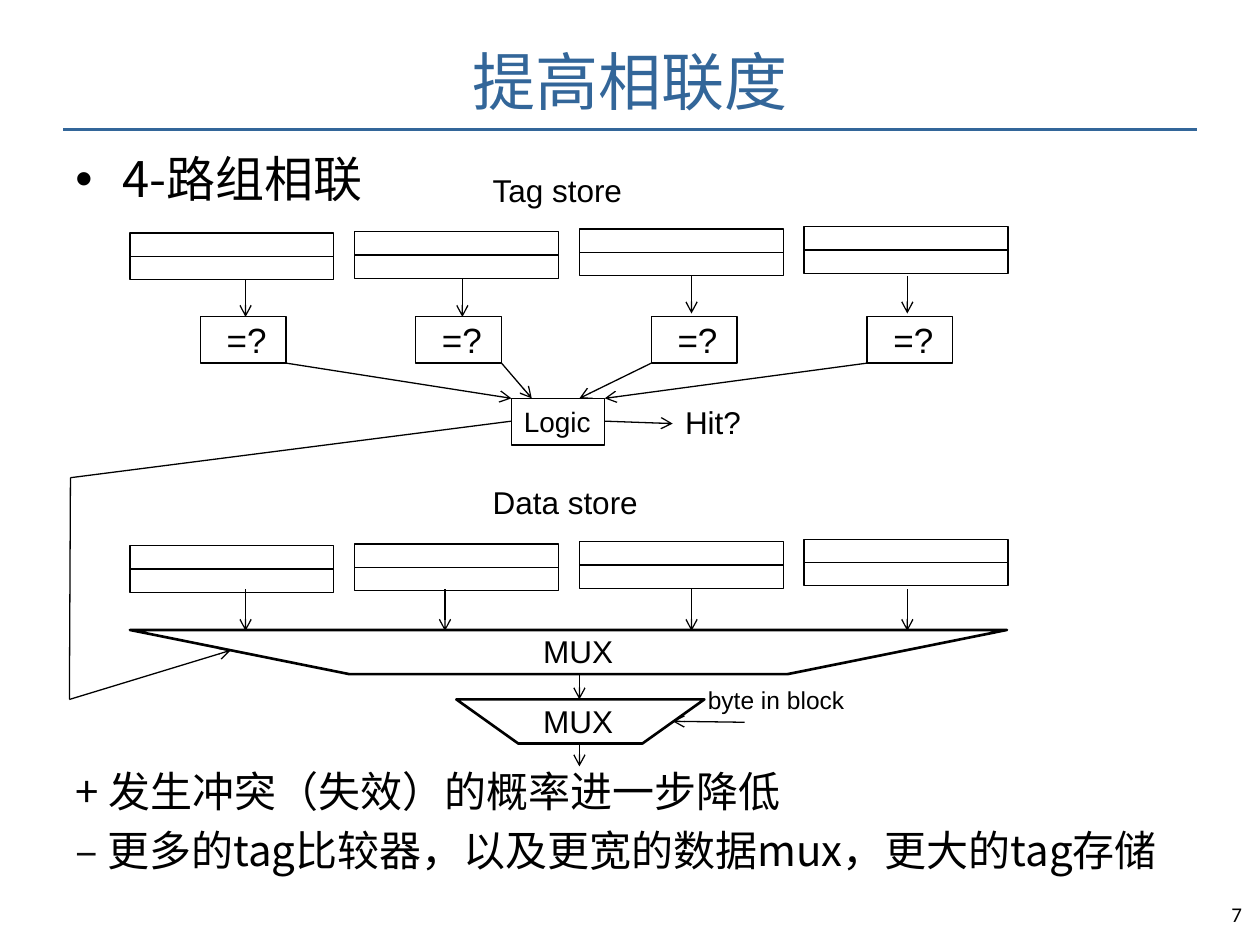
from lxml import etree
from pptx import Presentation
from pptx import util as u
from pptx.dml.color import RGBColor
from pptx.enum import shapes, text
from pptx.oxml.ns import qn

COLORS = {"title": "336699", "ink": "000000", "dash": "0D0D0D"}
CJK = "Noto Sans CJK SC"
LANE_X = [4.95, 9.32, 13.94, 18.29]  # centre of each way's arrow


def rgb(name):
    return RGBColor.from_string(COLORS[name])


def add_run(p, words, size, font="Arial", color="ink"):
    r = p.add_run()
    r.text = words
    r.font.size, r.font.name = u.Pt(size), font
    r.font.color.rgb = rgb(color)
    if font == CJK:
        etree.SubElement(r.font._element, qn("a:ea")).set("typeface", font)


def add_box(s, x, y, w, h, wrap=False):
    tf = s.shapes.add_textbox(u.Cm(x), u.Cm(y), u.Cm(w), u.Cm(h)).text_frame
    tf.word_wrap = wrap
    return tf


def add_label(s, x, y, w, h, words, size=18):
    add_run(add_box(s, x, y, w, h).paragraphs[0], words, size)


def style(sp, width):
    sp.shadow.inherit = False
    sp.fill.background()
    sp.line.color.rgb = rgb("ink")
    sp.line.width = u.Pt(width)


def add_rect(s, x, y, w, h, words="", size=16, pad=0.25):
    sp = s.shapes.add_shape(shapes.MSO_SHAPE.RECTANGLE, u.Cm(x), u.Cm(y), u.Cm(w), u.Cm(h))
    style(sp, 0.75)
    if words:
        tf = sp.text_frame
        tf.word_wrap = False
        tf.margin_left, tf.margin_right = u.Cm(pad), 0
        tf.vertical_anchor = text.MSO_ANCHOR.MIDDLE
        p = tf.paragraphs[0]
        p.alignment = text.PP_ALIGN.LEFT
        add_run(p, words, size)


def add_line(s, x1, y1, x2, y2, arrow=True, color="ink", width=0.75):
    c = s.shapes.add_connector(shapes.MSO_CONNECTOR.STRAIGHT,
                               u.Cm(x1), u.Cm(y1), u.Cm(x2), u.Cm(y2))
    c.line.color.rgb = rgb(color)
    c.line.width = u.Pt(width)
    if arrow:
        etree.SubElement(c.line._get_or_add_ln(), qn("a:tailEnd")).set("type", "arrow")
    etree.SubElement(c._element.spPr, qn("a:effectLst"))


def add_title(s, x, y, w, h):
    tf = add_box(s, x, y, w, h, wrap=True)
    tf.vertical_anchor = text.MSO_ANCHOR.MIDDLE
    p = tf.paragraphs[0]
    p.alignment = text.PP_ALIGN.CENTER
    add_run(p, "提高相联度", 36, CJK, "title")
    add_line(s, x, y + 2.28, x + w, y + 2.28, False, "title", 2)


def add_body(s, x, y, w, h, paragraphs, size, leading, bullet=None):
    tf = add_box(s, x, y, w, h, wrap=True)
    for i, runs in enumerate(paragraphs):
        p = tf.paragraphs[0] if i == 0 else tf.add_paragraph()
        p.line_spacing = u.Pt(leading)
        if i:
            p.space_before = u.Pt(size * 0.2)
        pPr = p._p.get_or_add_pPr()
        pPr.set("marL", str(u.Cm(0.95)))
        pPr.set("indent", str(u.Cm(-0.95)))
        if bullet:
            etree.SubElement(pPr, qn("a:buFont")).set("typeface", "Arial")
            etree.SubElement(pPr, qn("a:buChar")).set("char", bullet)
        else:
            etree.SubElement(pPr, qn("a:buNone"))
        for words, color in runs:
            add_run(p, words, size, CJK, color)


def add_store(s, x, y, name):
    """Four ways of two entries each, under the store's name."""
    add_label(s, x + 7.06, y - 1.25, 4.2, 1.02, name)
    for way, drop in enumerate([0.13, 0.1, 0.05, 0]):
        for entry in range(2):
            add_rect(s, x + way * 4.53, y + drop + entry * 0.47, 4.11, 0.47)


def add_comparators(s, y):
    """Tag comparators, the hit logic they feed, and the hit output."""
    logic_x, logic_y, logic_w = 10.31, y + 1.65, 1.88
    targets = [logic_x, 10.72, 11.68, logic_x + logic_w]
    box_x = [4.04, 8.38, 13.13, 17.48]
    for i, (x, lane, target) in enumerate(zip(box_x, LANE_X, targets)):
        add_rect(s, x, y, 1.73, 0.94, "=?", 20, 0.53)
        start = y - (0.75 if i < 2 else 0.82)
        add_line(s, lane, start, lane, start + 0.76)
        add_line(s, x + (1.73 if i < 2 else 0), y + 0.94, target, logic_y)
    add_rect(s, logic_x, logic_y, logic_w, 0.94, "Logic")
    add_line(s, logic_x + logic_w, logic_y + 0.46, 13.56, logic_y + 0.51)
    add_label(s, 13.56, logic_y - 0.02, 1.8, 1.02, "Hit?")


def add_mux(s, x, y, w, h, inset):
    fb = s.shapes.build_freeform(u.Cm(x + w), u.Cm(y))
    corners = [(x + w - inset, y + h), (x + inset, y + h), (x, y)]
    fb.add_line_segments([(u.Cm(a), u.Cm(b)) for a, b in corners], close=True)
    style(fb.convert_to_shape(), 1.5)
    add_label(s, 10.7, y - 0.08, 2.1, 1.02, "MUX")


def add_selection(s, y):
    """Way multiplexer followed by the byte multiplexer."""
    for i, lane in enumerate(LANE_X):
        x = 8.97 if i == 1 else lane
        add_line(s, x, y - 0.82, x, y + 0.02)
    add_mux(s, 2.62, y, 17.68, 0.89, 4.42)
    add_line(s, 11.68, y + 0.89, 11.68, y + 1.4)
    add_mux(s, 9.2, y + 1.4, 5, 0.89, 1.25)
    add_line(s, 11.68, y + 2.29, 11.68, y + 2.75)
    add_line(s, 15.01, y + 1.86, 13.56, y + 1.84)
    add_label(s, 14.02, y + 0.99, 3.6, 0.86, "byte in block", 14)


def add_select_path(s):
    """Line from the hit logic round to the way multiplexer."""
    points = [(10.31, 8.49), (1.42, 9.63), (1.4, 14.1), (4.65, 13.11)]
    for i, (a, b) in enumerate(zip(points, points[1:])):
        add_line(s, *a, *b, arrow=i == 2)


def add_page_number(s, x, y, w, h):
    tf = add_box(s, x, y, w, h)
    tf.margin_left = tf.margin_right = u.Cm(0.28)
    tf.margin_top = tf.margin_bottom = u.Cm(0.15)
    p = tf.paragraphs[0]
    p.alignment = text.PP_ALIGN.RIGHT
    add_run(p, "7", 12, "Calibri")


def main():
    prs = Presentation()
    prs.slide_width, prs.slide_height = u.Cm(25.4), u.Cm(19.05)
    s = prs.slides.add_slide(prs.slide_layouts[6])

    # Title and heading
    add_title(s, 1.27, 0.33, 22.86, 2.57)
    add_body(s, 1.27, 2.86, 22.86, 1.4, [[("4-路组相联", "ink")]], 28, 34, "•")

    # Cache diagram
    add_store(s, 2.62, 4.57, "Tag store")
    add_store(s, 2.62, 10.87, "Data store")
    add_comparators(s, 6.38)
    add_selection(s, 12.7)
    add_select_path(s)

    # Pros and cons
    add_body(s, 1.27, 15.3, 22.86, 3.4, [
        [("+ 发生冲突（失效）的概率进一步降低", "ink")],
        [("– ", "dash"), ("更多的tag比较器，以及更宽的数据mux，更大的tag存储", "ink")],
    ], 24, 29)
    add_page_number(s, 24.13, 18.03, 1.19, 0.58)
    prs.save("out.pptx")


if __name__ == "__main__":
    main()
